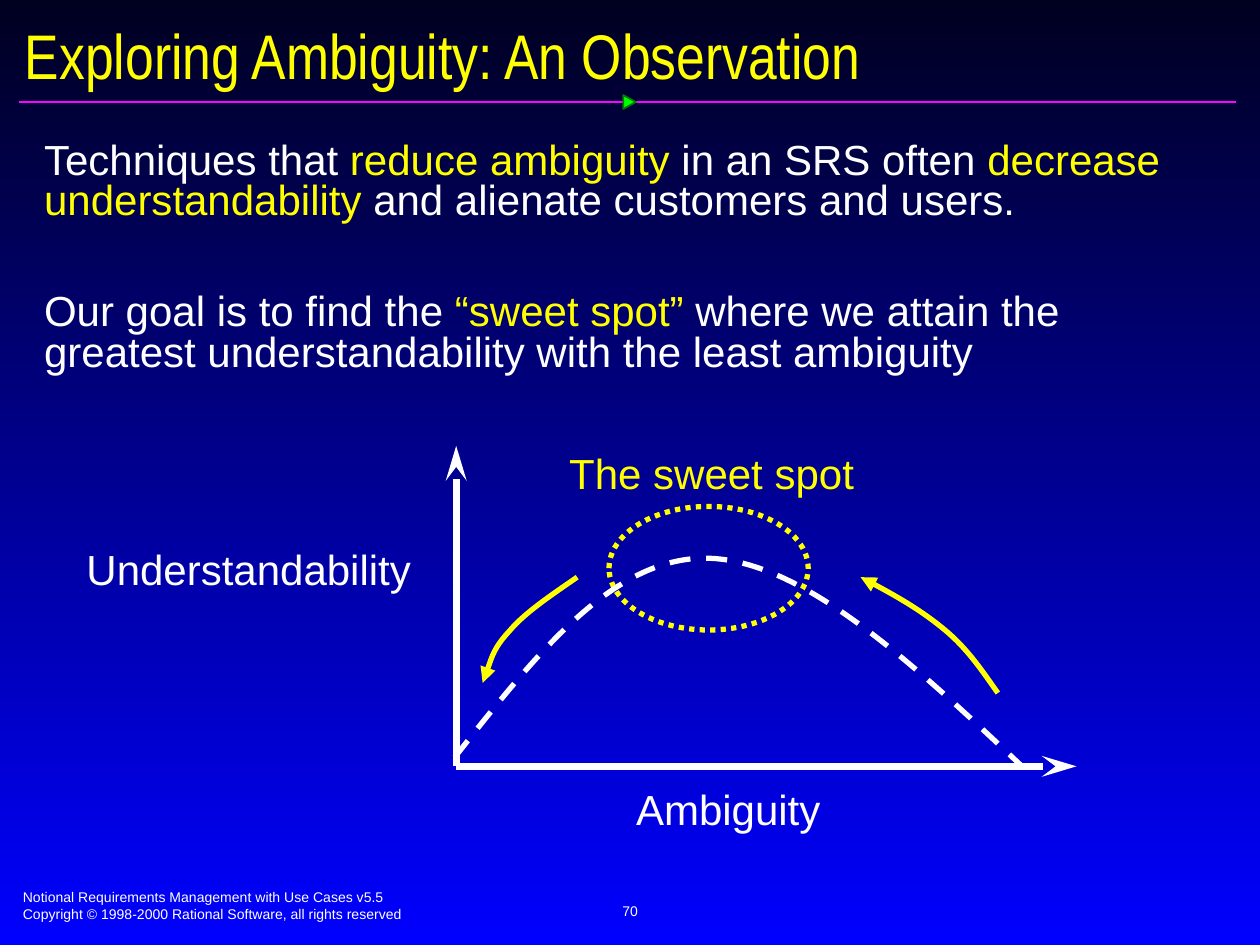
import lxml.etree
import pptx
import pptx.dml.color
import pptx.enum.dml
import pptx.enum.shapes
import pptx.enum.text
import pptx.oxml.ns
import pptx.util

Pt = pptx.util.Pt
qn = pptx.oxml.ns.qn
DASH = pptx.enum.dml.MSO_LINE
SHAPE = pptx.enum.shapes.MSO_SHAPE
ALIGN = pptx.enum.text.PP_ALIGN
ANCHOR = pptx.enum.text.MSO_ANCHOR

COLORS = {
    "night": "000021", "blue": "0000FF", "white": "FFFFFF", "yellow": "FFFF00",
    "magenta": "FF01FF", "green": "00FF00", "dark_green": "037C03",
}
TITLE_FONT = {"name": "Arial Narrow", "size": Pt(36)}
BODY_FONT = {"name": "Arial", "size": Pt(24)}
FOOTER_FONT = {"name": "Arial", "size": Pt(8)}
BODY = [
    [("Techniques that ", "white"), ("reduce ambiguity", "yellow"),
     (" in an SRS often ", "white"), ("decrease understandability", "yellow"),
     (" and alienate customers and users.", "white")],
    [("Our goal is to find the ", "white"), ("“sweet spot”", "yellow"),
     (" where we attain the greatest understandability with the least ambiguity", "white")],
]
LABELS = [
    ("Understandability", "white", (0.3, 54.9, 200.2, 36)),
    ("Ambiguity", "white", (314.4, 192.2, 120.2, 36)),
    ("The sweet spot", "yellow", (276.2, 0, 184.3, 36)),
]
TRADE_OFF = [(217.9, 180.7), (263.3, 123.1), (307.9, 66.2), (361.9, 67),
             (415.9, 67.7), (479.3, 126.7), (541.9, 185.8)]
ARROW_CURVES = [
    [(528.2, 144), (519.6, 131.8), (511, 118.8), (498, 108),
     (485, 97.2), (467.8, 87.1), (449.8, 77.8)],
    [(287.8, 77.8), (273.4, 87.8), (258.2, 97.9), (249.6, 108),
     (240.2, 118.1), (237.4, 128.2), (233.8, 138.2)],
]


def rgb(name):
    """Return the named colour."""
    return pptx.dml.color.RGBColor.from_string(COLORS[name])


def apply(target, values):
    """Set each attribute of the target from a dict."""
    for name, value in values.items():
        setattr(target, name, value)


def add_text(slide, box, paragraphs, font, frame_format=None, paragraph_format=None, gap=0):
    """Add a text box of paragraphs, each a list of text and colour pairs."""
    frame = slide.shapes.add_textbox(*map(Pt, box)).text_frame
    apply(frame, {"word_wrap": True, **(frame_format or {})})
    for index, pieces in enumerate(paragraphs):
        paragraph = frame.add_paragraph() if index else frame.paragraphs[0]
        apply(paragraph, paragraph_format or {})
        if index and gap:
            paragraph.space_before = Pt(gap)
        for text, color in pieces:
            run = paragraph.add_run()
            run.text = text
            apply(run.font, font)
            run.font.color.rgb = rgb(color)


def style_line(shape, color, width, dash=None, head=None, length="med"):
    """Set colour, width, dash and end arrowhead of an outline."""
    apply(shape.line, {"width": Pt(width), "dash_style": dash})
    shape.line.color.rgb = rgb(color)
    if head:
        lxml.etree.SubElement(shape.line._get_or_add_ln(), qn("a:tailEnd"),
                              type=head, w="med", len=length)


def add_line(slide, start, end, color, width, **style):
    """Add a straight line without a shadow."""
    line = slide.shapes.add_connector(
        pptx.enum.shapes.MSO_CONNECTOR.STRAIGHT, *map(Pt, (*start, *end)))
    style_line(line, color, width, **style)
    lxml.etree.SubElement(line._element.spPr, qn("a:effectLst"))


def add_shape(slide, kind, box, fill=None):
    """Add a preset shape without a shadow, filled or hollow."""
    shape = slide.shapes.add_shape(kind, *map(Pt, box))
    shape.shadow.inherit = False
    if fill:
        shape.fill.solid()
        shape.fill.fore_color.rgb = rgb(fill)
    else:
        shape.fill.background()
    return shape


def add_curve(slide, left, top, points, color, **style):
    """Add an open curve of joined cubic segments."""
    vertices = [(Pt(left + x), Pt(top + y)) for x, y in points]
    builder = slide.shapes.build_freeform(*vertices[0])
    builder.add_line_segments(vertices[1:], close=False)
    shape = builder.convert_to_shape()
    outline = next(shape._element.iter(qn("a:path")))
    segments = outline.findall(qn("a:lnTo"))
    for first in range(0, len(segments), 3):
        cubic = lxml.etree.SubElement(outline, qn("a:cubicBezTo"))
        for segment in segments[first:first + 3]:
            cubic.append(segment[0])
            outline.remove(segment)
    shape.shadow.inherit = False
    shape.fill.background()
    style_line(shape, color, 3, **style)


def add_background(slide):
    """Fill the slide with a vertical gradient."""
    fill = slide.background.fill
    fill.gradient()
    fill.gradient_angle = 270
    for stop, color in zip(fill.gradient_stops, ("night", "blue")):
        stop.color.rgb = rgb(color)


def add_header(slide, left, top, width):
    """Place the title above a rule with a marker at its middle."""
    add_text(slide, (left, top, width, 41.8), [[("Exploring Ambiguity: An Observation", "yellow")]],
             TITLE_FONT, {"vertical_anchor": ANCHOR.MIDDLE})
    rule = top + 48
    add_line(slide, (left + 3.4, rule), (left + 698.9, rule), "magenta", 1)
    marker = add_shape(slide, SHAPE.ISOSCELES_TRIANGLE, (left + 348.6, rule - 3.4, 7.9, 7.2), "green")
    marker.rotation = 90
    style_line(marker, "dark_green", 1)


def add_body(slide, box):
    """Place the two statements."""
    add_text(slide, box, BODY, BODY_FONT, paragraph_format={"line_spacing": 0.8}, gap=40.5)


def add_diagram(slide, left, top):
    """Place the axes, labels, trade-off curve and sweet spot."""
    origin = (left + 218.7, top + 185.9)
    for end in ((left + 573.2, origin[1]), (origin[0], top + 2.8)):
        add_line(slide, origin, end, "white", 4, head="stealth", length="lg")
    for text, color, (x, y, width, height) in LABELS:
        add_text(slide, (left + x, top + y, width, height), [[(text, color)]],
                 BODY_FONT, {"word_wrap": False})
    spot = add_shape(slide, SHAPE.OVAL, (left + 306, top + 37.4, 113.8, 70.6))
    style_line(spot, "yellow", 3, dash=DASH.ROUND_DOT)
    add_curve(slide, left, top, TRADE_OFF, "white", dash=DASH.DASH)
    for points in ARROW_CURVES:
        add_curve(slide, left, top, points, "yellow", head="triangle")


def add_footer(slide, left, top):
    """Place the course name, copyright line and page number."""
    lines = ["Notional Requirements Management with Use Cases v5.5",
             "Copyright © 1998-2000 Rational Software, all rights reserved"]
    add_text(slide, (left, top, 367.2, 26.6), [[(line, "white")] for line in lines], FOOTER_FONT)
    add_text(slide, (left + 240, top - 1.6, 228.2, 36), [[("70", "white")]], FOOTER_FONT,
             {"vertical_anchor": ANCHOR.MIDDLE, "word_wrap": False}, {"alignment": ALIGN.CENTER})


def main():
    """Build and save the slide."""
    presentation = pptx.Presentation()
    apply(presentation, {"slide_width": Pt(720), "slide_height": Pt(540)})
    slide = presentation.slides.add_slide(presentation.slide_layouts[6])
    add_background(slide)
    add_footer(slide, 6, 504.2)
    add_header(slide, 7.2, 10.1, 708.5)
    add_body(slide, (18.1, 78.2, 668.2, 397.4))
    add_diagram(slide, 42, 252)
    presentation.save("out.pptx")


if __name__ == "__main__":
    main()
